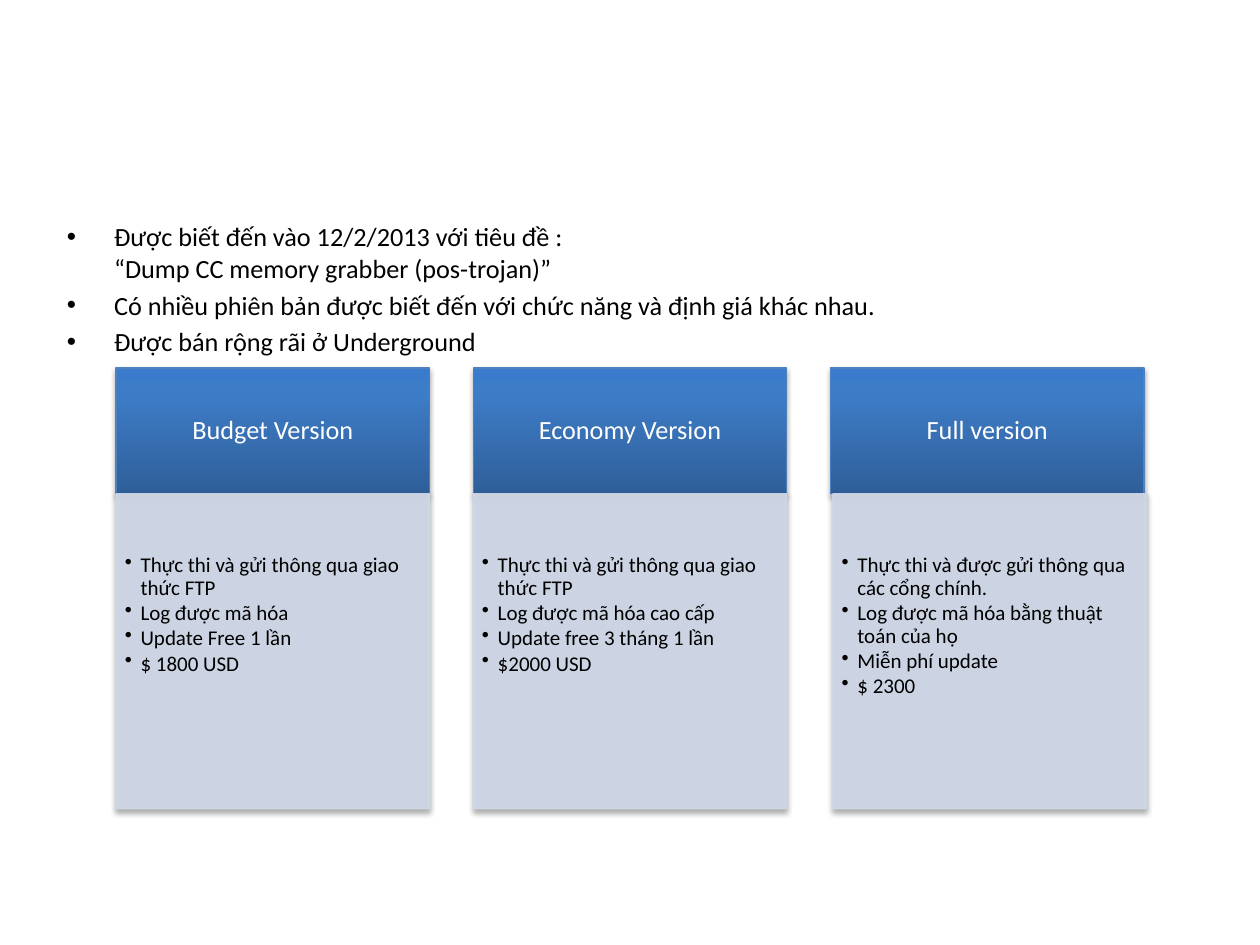
import copy
from dataclasses import dataclass

import pptx
import pptx.dml.color
import pptx.enum.shapes
import pptx.enum.text
import pptx.oxml
import pptx.oxml.ns
import pptx.shapes.autoshape
import pptx.slide
import pptx.text.text
import pptx.util

Inches = pptx.util.Inches
Pt = pptx.util.Pt
qn = pptx.oxml.ns.qn
Box = pptx.shapes.autoshape.Shape


@dataclass(frozen=True)
class Theme:
    font: str = "Calibri"
    dark: str = "000000"
    light: str = "FFFFFF"
    edge: str = "4F81BD"
    pale: str = "D0D8E8"
    stops: tuple = ((0, "2F5F99"), (0.8, "3D7CC7"), (1, "3A7CCB"))
    big: float = 15
    small: float = 12


@dataclass(frozen=True)
class Card:
    title: str
    items: tuple[str, ...]
    shift: float = 0


THEME = Theme()
LEFT, TOP, WIDTH, STEP = 0.92, 2.92, 2.49, 2.835
HEAD, BODY = 1, 2.5
LIST = (
    "Được biết đến vào 12/2/2013 với tiêu đề :\n“Dump CC memory grabber (pos-trojan)”",
    "Có nhiều phiên bản được biết đến với chức năng và định giá khác nhau.",
    "Được bán rộng rãi ở Underground",
)
CARDS = (
    Card("Budget Version", (
        "Thực thi và gửi thông qua giao thức FTP", "Log được mã hóa",
        "Update Free 1 lần", "$ 1800 USD")),
    Card("Economy Version", (
        "Thực thi và gửi thông qua giao thức FTP", "Log được mã hóa cao cấp",
        "Update free 3 tháng 1 lần", "$2000 USD")),
    Card("Full version", (
        "Thực thi và được gửi thông qua các cổng chính.",
        "Log được mã hóa bằng thuật toán của họ",
        "Miễn phí update", "$ 2300"), 0.02),
)


def color(code: str) -> pptx.dml.color.RGBColor:
    return pptx.dml.color.RGBColor.from_string(code)


def write(para: pptx.text.text._Paragraph, text: str, size: float, code: str) -> None:
    """Add text as runs, with a line break at each newline."""
    for i, line in enumerate(text.split("\n")):
        if i:
            para.add_line_break()
        run = para.add_run()
        run.text = line
        run.font.name = THEME.font
        run.font.size = Pt(size)
        run.font.color.rgb = color(code)


def fill_list(frame: pptx.text.text.TextFrame, items: tuple[str, ...],
              size: float) -> list:
    for i, item in enumerate(items):
        para = frame.paragraphs[0] if i == 0 else frame.add_paragraph()
        write(para, item, size, THEME.dark)
    return list(frame.paragraphs)


def add_box(slide: pptx.slide.Slide, left: float, top: float, height: float,
            pads: tuple[float, ...]) -> Box:
    """Add a rectangle with a soft shadow below; pads go left, top, right, bottom."""
    box = slide.shapes.add_shape(
        pptx.enum.shapes.MSO_SHAPE.RECTANGLE,
        Inches(left), Inches(top), Inches(WIDTH), Inches(height))
    box.shadow.inherit = False
    box.element.spPr.find(qn("a:effectLst")).append(pptx.oxml.parse_xml(
        f'<a:outerShdw {pptx.oxml.ns.nsdecls("a")} blurRad="{Pt(3.1)}" '
        f'dist="{Pt(1.8)}" dir="5400000" rotWithShape="0">'
        '<a:srgbClr val="000000"><a:alpha val="35000"/></a:srgbClr></a:outerShdw>'))
    box.line.width = Pt(0.75)
    frame = box.text_frame
    frame.word_wrap = True
    frame.margin_left, frame.margin_top, frame.margin_right, frame.margin_bottom = (
        Inches(pad) for pad in pads)
    return box


def add_head(slide: pptx.slide.Slide, left: float, title: str) -> None:
    box = add_box(slide, left, TOP, HEAD, (0.12, 0.07, 0.12, 0.07))
    box.line.color.rgb = color(THEME.edge)
    box.fill.gradient()
    box.fill.gradient_angle = 90
    stops = box.element.spPr.find(qn("a:gradFill")).find(qn("a:gsLst"))
    stops.append(copy.deepcopy(stops[-1]))
    for stop, (place, code) in zip(box.fill.gradient_stops, THEME.stops):
        stop.position = place
        stop.color.rgb = color(code)
    box.text_frame.vertical_anchor = pptx.enum.text.MSO_ANCHOR.MIDDLE
    para = box.text_frame.paragraphs[0]
    para.alignment = pptx.enum.text.PP_ALIGN.CENTER
    para.line_spacing = 0.9
    write(para, title, THEME.big, THEME.light)


def add_body(slide: pptx.slide.Slide, left: float, items: tuple[str, ...]) -> None:
    box = add_box(slide, left, TOP + HEAD, BODY, (0.07, 0.48, 0.09, 0.1))
    box.fill.solid()
    box.fill.fore_color.rgb = color(THEME.pale)
    box.line.color.rgb = color(THEME.pale)
    for fill in box.element.spPr.iter(qn("a:solidFill")):
        fill[0].append(pptx.oxml.parse_xml(
            f'<a:alpha {pptx.oxml.ns.nsdecls("a")} val="90000"/>'))
    box.text_frame.vertical_anchor = pptx.enum.text.MSO_ANCHOR.TOP
    for para in fill_list(box.text_frame, items, THEME.small):
        para.level = 1
        para.alignment = pptx.enum.text.PP_ALIGN.LEFT
        para.line_spacing = 0.9
        para.space_after = Pt(1.5)
        props = para._p.get_or_add_pPr()
        props.set("marL", str(Inches(0.125)))
        props.set("indent", str(Inches(-0.125)))
        props.append(pptx.oxml.parse_xml(
            f'<a:buChar {pptx.oxml.ns.nsdecls("a")} char="•"/>'))


def main() -> None:
    deck = pptx.Presentation()
    deck.slide_width, deck.slide_height = Inches(10), Inches(7.5)
    slide = deck.slides.add_slide(deck.slide_layouts[1])
    title = slide.shapes.title.element
    title.getparent().remove(title)

    body = slide.placeholders[1]
    body.left, body.top = Inches(0.43), Inches(1.7)
    body.width, body.height = Inches(9), Inches(5.13)
    fill_list(body.text_frame, LIST, THEME.big)

    for i, card in enumerate(CARDS):
        left = LEFT + i * STEP
        add_head(slide, left, card.title)
        add_body(slide, left + card.shift, card.items)
    deck.save("out.pptx")


if __name__ == "__main__":
    main()
